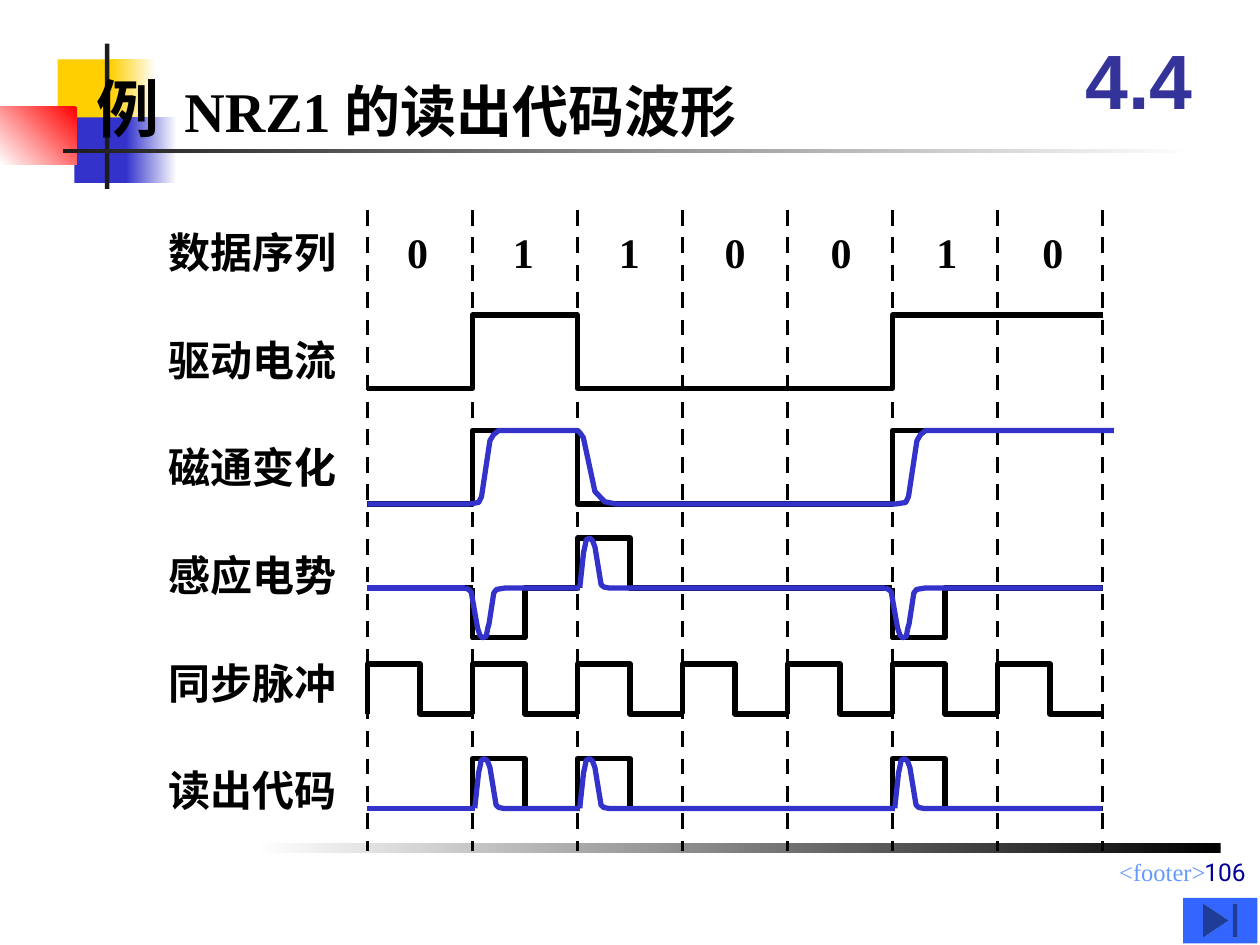
from dataclasses import dataclass

from lxml.etree import SubElement
from pptx import Presentation
from pptx.dml.color import RGBColor
from pptx.enum.dml import MSO_LINE
from pptx.enum.shapes import MSO_CONNECTOR, MSO_SHAPE
from pptx.enum.text import MSO_ANCHOR as Anchor, MSO_AUTO_SIZE as AutoSize, PP_ALIGN as Align
from pptx.oxml.ns import qn
from pptx.util import Pt


@dataclass(frozen=True)
class Theme:
    black: str = "000000"
    white: str = "FFFFFF"
    charcoal: str = "1C1C1C"
    yellow: str = "FFCF01"
    red: str = "FF0000"
    blue: str = "3333CC"
    chapter: str = "333399"
    number: str = "000099"
    footer: str = "6699FF"
    button: str = "3366FF"
    serif: str = "Times New Roman"
    sans: str = "Arial"
    digits: str = "Roboto"
    lead: int = 36
    title: int = 32
    body: int = 24
    small: int = 14
    huge: int = 44
    wave: float = 3
    dash: float = 2.25


THEME = Theme()
BITS = "0110010"
LEFT, CELL = 210, 60
RIGHT = LEFT + CELL * len(BITS)
LEVEL_HEIGHT, PULSE_HEIGHT = 42, 28.5
LABELS = ["数据序列", "驱动电流", "磁通变化", "感应电势", "同步脉冲", "读出代码"]
CURRENT_BASE, FLUX_BASE, VOLTAGE_BASE, CLOCK_BASE, READ_BASE = 222, 288, 336, 408, 462

SQUARE = [(0, 0), (0, 1), (30, 1), (30, 0)]
BUMP = [(1.4, 0.04), (3.5, 0.72), (4.2, 0.82), (5, 0.97), (7, 1), (8.6, 0.95),
        (10, 0.82), (13.5, 0.07), (15, 0.02), (18, 0)]
DIP = [(-4.3, 0), (-2.2, 0.03), (-0.7, 0.08), (2.9, 0.8), (4.3, 0.95), (5.8, 1),
       (7.9, 0.97), (8.8, 0.8), (9.5, 0.72), (12.2, 0.1), (13.7, 0.03), (18.7, 0)]
RISE = [(-2, 0), (3.6, 0.02), (5.2, 0.1), (10, 0.86), (12, 0.94), (15, 1)]
FALL = [(0, 1), (1.4, 0.97), (3.4, 0.9), (10, 0.17), (15.6, 0.03), (22, 0)]
FLUX_LAG = {5: 4}


class SlidePainter:
    def __init__(self, slide, theme):
        self.slide, self.theme = slide, theme

    def bar(self, left, top, width, height, start, end=None, angle=180):
        bar = self.slide.shapes.add_shape(
            MSO_SHAPE.RECTANGLE, Pt(left), Pt(top), Pt(width), Pt(height))
        bar.shadow.inherit = False
        bar.line.fill.background()
        if end is None:
            bar.fill.solid()
            bar.fill.fore_color.rgb = RGBColor.from_string(start)
            return
        bar.fill.gradient()
        bar.fill.gradient_angle = angle
        for stop, color in zip(bar.fill.gradient_stops, (start, end)):
            stop.color.rgb = RGBColor.from_string(color)

    def button(self, left, top, width, height):
        button = self.slide.shapes.add_shape(
            MSO_SHAPE.ACTION_BUTTON_END, Pt(left), Pt(top), Pt(width), Pt(height))
        button.shadow.inherit = False
        button.fill.solid()
        button.fill.fore_color.rgb = RGBColor.from_string(self.theme.button)
        button.line.fill.background()

    def text(self, left, top, width, height, words, size, color=None, font=None,
             bold=True, align=Align.LEFT, anchor=Anchor.TOP, wrap=True, grow=False):
        box = self.slide.shapes.add_textbox(Pt(left), Pt(top), Pt(width), Pt(height))
        frame = box.text_frame
        frame.text = words
        frame.word_wrap = wrap
        frame.vertical_anchor = anchor
        frame.auto_size = AutoSize.SHAPE_TO_FIT_TEXT if grow else AutoSize.NONE
        para = frame.paragraphs[0]
        para.alignment = align
        self.style(para.runs[0], size, color, font, bold)
        return para

    def style(self, span, size, color=None, font=None, bold=True):
        span.font.size = Pt(size)
        span.font.bold = bold
        span.font.name = font or self.theme.serif
        span.font.color.rgb = RGBColor.from_string(color or self.theme.black)

    def line(self, start, end, color, width, dash=None):
        line = self.slide.shapes.add_connector(
            MSO_CONNECTOR.STRAIGHT, *(Pt(value) for value in (*start, *end)))
        line.line.color.rgb = RGBColor.from_string(color)
        line.line.width = Pt(width)
        line.line.dash_style = dash
        SubElement(line.element.spPr, qn("a:effectLst"))

    def wave(self, points, color):
        corners = [(Pt(x), Pt(y)) for x, y in points]
        builder = self.slide.shapes.build_freeform(*corners[0])
        builder.add_line_segments(corners[1:], close=False)
        wave = builder.convert_to_shape()
        wave.shadow.inherit = False
        wave.fill.background()
        wave.line.color.rgb = RGBColor.from_string(color)
        wave.line.width = Pt(self.theme.wave)

    def levels(self, base, color, rise, fall, end, lag):
        points, high = [(LEFT, base)], False
        for cell in ones():
            edge = LEFT + cell * CELL + lag.get(cell, 0)
            points += [(edge + x, base - y * LEVEL_HEIGHT)
                       for x, y in (fall if high else rise)]
            high = not high
        points.append((end, base - high * LEVEL_HEIGHT))
        self.wave(points, color)

    def pulses(self, base, color, pulses):
        pieces = [[(LEFT + cell * CELL + x, base - sign * y * PULSE_HEIGHT)
                   for x, y in shape] for cell, sign, shape in pulses]
        starts = [piece[0][0] for piece in pieces]
        if starts[0] > LEFT:
            self.line((LEFT, base), (starts[0], base), color, self.theme.wave)
        for piece, start, end in zip(pieces, starts, starts[1:] + [RIGHT]):
            self.wave([(start, base), *piece, (end, base)], color)


def ones():
    return [cell for cell, bit in enumerate(BITS) if bit == "1"]


def voltage(positive, negative):
    return [(cell, 1, positive) if order % 2 else (cell, -1, negative)
            for order, cell in enumerate(ones())]


def draw_frame(painter):
    theme = painter.theme
    painter.bar(33, 34, 35, 37.5, theme.yellow)
    painter.bar(63, 34, 26, 37.5, theme.white, theme.yellow)
    painter.bar(42.5, 67, 33, 37.5, theme.blue)
    painter.bar(72, 67, 29, 37.5, theme.white, theme.blue)
    painter.bar(0, 61, 44, 33, theme.red, theme.white, 225)
    painter.bar(60, 25, 2.5, 83, theme.charcoal)
    painter.bar(36, 85, 648, 2.5, theme.white, theme.charcoal)
    painter.bar(145.5, 481.5, 552, 6, theme.black, theme.white)
    painter.text(282, 486, 414, 19, "<footer>", theme.small, theme.footer,
                 bold=False, align=Align.RIGHT)
    title = painter.text(48, 36, 450, 50.4, "例", theme.lead, grow=True)
    title.runs[0].font._element.set("spc", "700")
    span = title.add_run()
    span.text = " NRZ1 的读出代码波形"
    painter.style(span, theme.title)


def draw_grid(painter):
    theme = painter.theme
    for column in range(len(BITS) + 1):
        x = LEFT + column * CELL
        painter.line((x, 120), (x, 486), theme.black, theme.dash, MSO_LINE.DASH)
    for cell, bit in enumerate(BITS):
        painter.text(225.5 + cell * 60.5, 126, 26, 36, bit, theme.body, wrap=False, grow=True)
    for row, label in enumerate(LABELS):
        painter.text(89, 126 + row * 61.5, 114, 36, label, theme.body)


def draw_waves(painter):
    black, blue = painter.theme.black, painter.theme.blue
    step_up, step_down = [(0, 0), (0, 1)], [(0, 1), (0, 0)]
    for base in (CURRENT_BASE, FLUX_BASE):
        painter.levels(base, black, step_up, step_down, RIGHT, {})
    painter.pulses(VOLTAGE_BASE, black, voltage(SQUARE, SQUARE))
    painter.pulses(CLOCK_BASE, black, [(cell, 1, SQUARE) for cell in range(len(BITS))])
    painter.pulses(READ_BASE, black, [(cell, 1, SQUARE) for cell in ones()])
    painter.levels(FLUX_BASE, blue, RISE, FALL, RIGHT + 6.5, FLUX_LAG)
    painter.pulses(READ_BASE, blue, [(cell, 1, BUMP) for cell in ones()])
    painter.pulses(VOLTAGE_BASE, blue, voltage(BUMP, DIP))


def main():
    deck = Presentation()
    deck.slide_width, deck.slide_height = Pt(720), Pt(540)
    page = deck.slides.add_slide(deck.slide_layouts[6])
    painter = SlidePainter(page, THEME)
    draw_frame(painter)
    draw_grid(painter)
    draw_waves(painter)
    painter.text(606, 12, 90, 66, "4.4", THEME.huge, THEME.chapter, THEME.sans,
                 align=Align.CENTER, anchor=Anchor.MIDDLE)
    painter.button(676, 513, 42.5, 26)
    painter.text(375, 474, 344, 36, "106", THEME.small, THEME.number, THEME.digits,
                 bold=False, align=Align.RIGHT, anchor=Anchor.BOTTOM)
    deck.save("out.pptx")


if __name__ == "__main__":
    main()
